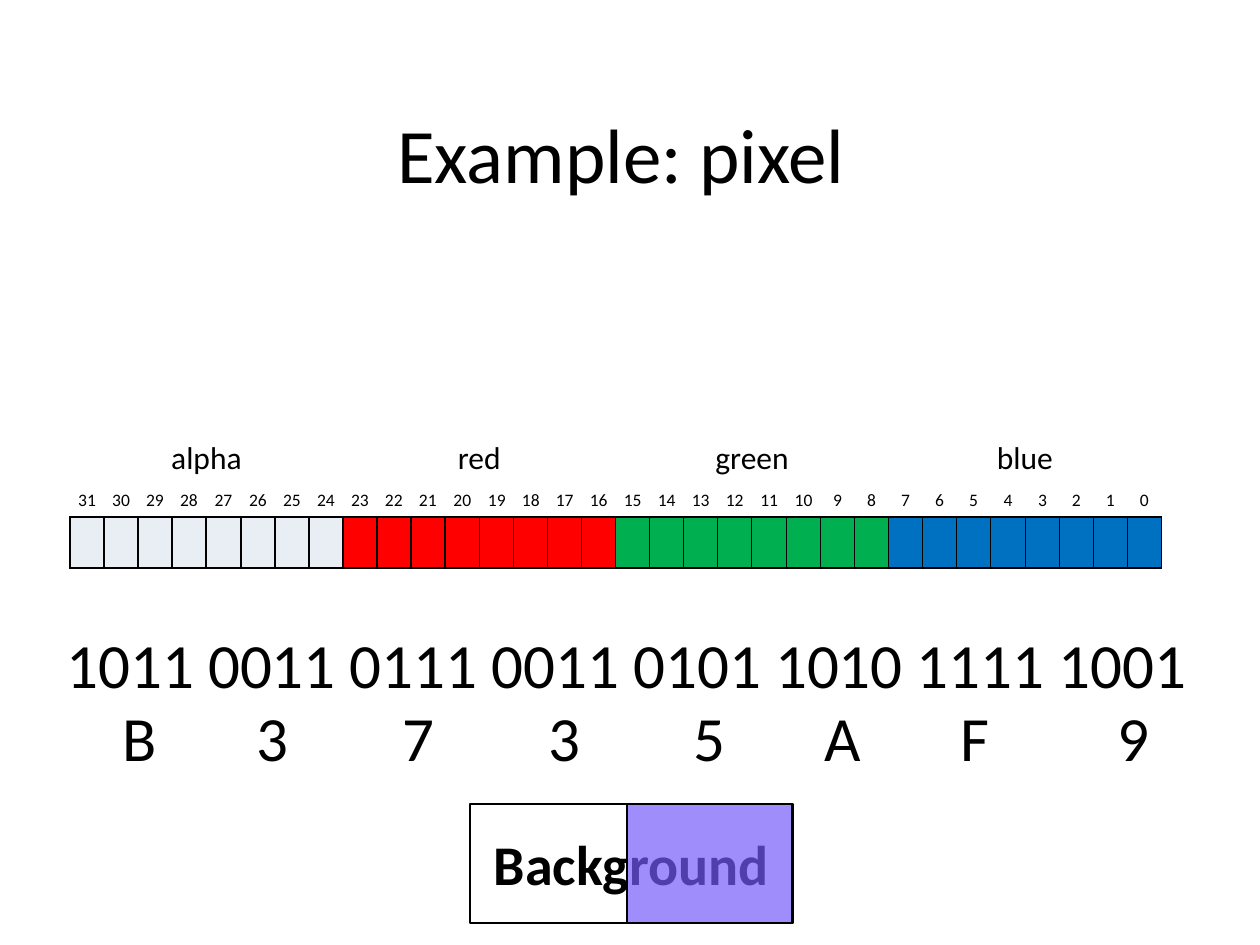
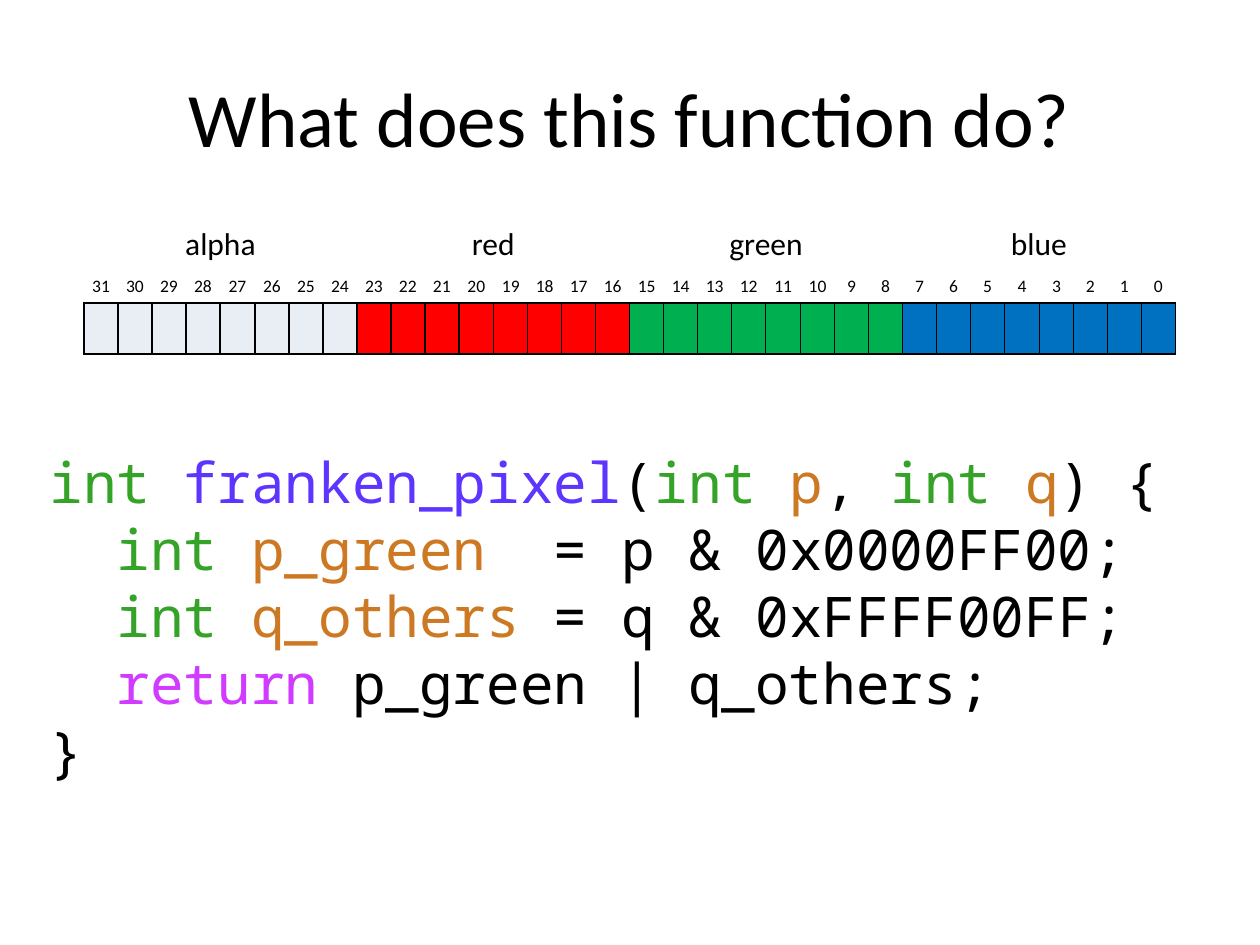
from dataclasses import dataclass
from typing import Optional

import pptx
import pptx.dml.color
import pptx.enum.shapes
import pptx.enum.text
import pptx.oxml
import pptx.oxml.ns
import pptx.util
from lxml import etree

PX_PER_INCH = 126
FONT = "Calibri"
CODE_FONT = "Noto Sans Mono"
COLORS = {
    "black": "000000",
    "white": "FFFFFF",
    "alpha": "E9EDF4",
    "red": "FF0000",
    "green": "00B050",
    "blue": "0070C0",
    "overlay": "735AF9",
    "type": "34A327",
    "function": "5E34FF",
    "variable": "CD7923",
    "keyword": "D03BFF",
}
CHANNELS = ("alpha", "red", "green", "blue")
BITS_PER_CHANNEL = 8
BIT_COUNT = BITS_PER_CHANNEL * len(CHANNELS)
ROW_HEIGHTS = (51, 33, 51)
TABLE_WIDTH = 1092

BINARY = "1011 0011 0111 0011 0101 1010 1111 1001"
HEX_DIGITS = "B3735AF9"
HEX_CENTERS = (73, 206, 352, 498, 643, 776, 909, 1067)

CODE = (
    (("int ", "type"), ("franken_pixel", "function"), ("(", "black"),
     ("int ", "type"), ("p", "variable"), (", ", "black"),
     ("int ", "type"), ("q", "variable"), (") {", "black")),
    (("  ", "black"), ("int ", "type"), ("p_green", "variable"),
     ("  = p & 0x0000FF00;", "black")),
    (("  ", "black"), ("int ", "type"), ("q_others", "variable"),
     (" = q & 0xFFFF00FF;", "black")),
    (("  ", "black"), ("return ", "keyword"), ("p_green | q_others;", "black")),
    (("}", "black"),),
)


@dataclass(frozen=True)
class Box:
    x: int
    y: int
    w: int
    h: int

    def emu(self) -> tuple:
        return tuple(px(v) for v in (self.x, self.y, self.w, self.h))


@dataclass(frozen=True)
class Panel:
    box: Box
    fill: Optional[str] = None
    opacity: int = 100
    text: str = ""


PANELS = (
    Panel(Box(470, 804, 323, 119), text="Background"),
    Panel(Box(627, 804, 165, 119), fill="overlay", opacity=69),
)


def px(value: int) -> pptx.util.Emu:
    return pptx.util.Emu(round(value * 914400 / PX_PER_INCH))


def rgb(name: str) -> pptx.dml.color.RGBColor:
    return pptx.dml.color.RGBColor.from_string(COLORS[name])


def style(font, size: int, color: str = "black", name: str = FONT,
          bold: bool = False) -> None:
    font.name = name
    font.size = pptx.util.Pt(size)
    font.bold = bold
    font.color.rgb = rgb(color)


def style_centered(tf, size: int, bold: bool = False) -> None:
    p = tf.paragraphs[0]
    p.alignment = pptx.enum.text.PP_ALIGN.CENTER
    for r in p.runs:
        style(r.font, size, bold=bold)


def add_titled_slide(prs, title: str, box: Box):
    s = prs.slides.add_slide(prs.slide_layouts[5])
    sp = s.shapes.title
    sp.left, sp.top, sp.width, sp.height = box.emu()
    tf = sp.text_frame
    tf.text = title
    tf.vertical_anchor = pptx.enum.text.MSO_ANCHOR.MIDDLE
    style_centered(tf, 44)
    return s


def add_text_frame(s, box: Box):
    tf = s.shapes.add_textbox(*box.emu()).text_frame
    tf.word_wrap = True
    tf.auto_size = pptx.enum.text.MSO_AUTO_SIZE.SHAPE_TO_FIT_TEXT
    return tf


def add_center_tabs(p, stops: tuple) -> None:
    tabs = etree.SubElement(p._p.get_or_add_pPr(), pptx.oxml.ns.qn("a:tabLst"))
    for stop in stops:
        etree.SubElement(tabs, pptx.oxml.ns.qn("a:tab"), pos=str(px(stop)), algn="ctr")


def add_panel(s, panel: Panel) -> None:
    sp = s.shapes.add_shape(pptx.enum.shapes.MSO_SHAPE.RECTANGLE, *panel.box.emu())
    sp.shadow.inherit = False
    sp.line.color.rgb = rgb("black")
    sp.line.width = pptx.util.Pt(0.75)
    if panel.fill:
        sp.fill.solid()
        sp.fill.fore_color.rgb = rgb(panel.fill)
        color = sp.fill._xPr.find(".//" + pptx.oxml.ns.qn("a:srgbClr"))
        etree.SubElement(color, pptx.oxml.ns.qn("a:alpha"), val=str(panel.opacity * 1000))
    else:
        sp.fill.background()
    if panel.text:
        tf = sp.text_frame
        tf.text = panel.text
        tf.vertical_anchor = pptx.enum.text.MSO_ANCHOR.MIDDLE
        style_centered(tf, 32, bold=True)


def format_cell(cell, borders: dict, fill: Optional[str] = None) -> None:
    """Set 1 pt borders, given as colour by side (L, R, T, B), then the fill."""
    tc_pr = cell._tc.get_or_add_tcPr()
    for side, color in borders.items():
        ln = etree.SubElement(tc_pr, pptx.oxml.ns.qn(f"a:ln{side}"), w="12700")
        solid = etree.SubElement(ln, pptx.oxml.ns.qn("a:solidFill"))
        etree.SubElement(solid, pptx.oxml.ns.qn("a:srgbClr"), val=COLORS[color])
    if fill:
        cell.fill.solid()
        cell.fill.fore_color.rgb = rgb(fill)
    else:
        cell.fill.background()


def add_pixel_table(s, x: int, y: int) -> None:
    """Draw the 32 bits of a pixel under their channel names and bit numbers."""
    box = Box(x, y, TABLE_WIDTH, sum(ROW_HEIGHTS))
    table = s.shapes.add_table(len(ROW_HEIGHTS), BIT_COUNT, *box.emu()).table
    table.first_row = table.horz_banding = False
    for row, height in zip(table.rows, ROW_HEIGHTS):
        row.height = px(height)
    edges = [round(i * TABLE_WIDTH / BIT_COUNT) for i in range(BIT_COUNT + 1)]
    white = dict.fromkeys("LRTB", "white")
    black = dict.fromkeys("LRTB", "black")

    for i, column in enumerate(table.columns):
        column.width = px(edges[i + 1] - edges[i])
        name_cell, number_cell, bit_cell = (table.cell(r, i) for r in range(3))
        format_cell(name_cell, white)
        format_cell(number_cell, white | {"B": "black"})
        format_cell(bit_cell, black, CHANNELS[i // BITS_PER_CHANNEL])
        number_cell.margin_left = number_cell.margin_right = number_cell.margin_top = 0
        number_cell.vertical_anchor = pptx.enum.text.MSO_ANCHOR.BOTTOM
        number_cell.text_frame.text = str(BIT_COUNT - 1 - i)
        style_centered(number_cell.text_frame, 10)

    for i, channel in enumerate(CHANNELS):
        first = i * BITS_PER_CHANNEL
        cell = table.cell(0, first)
        cell.merge(table.cell(0, first + BITS_PER_CHANNEL - 1))
        cell.text_frame.text = channel
        style_centered(cell.text_frame, 18)


def build_pixel_slide(prs) -> None:
    s = add_titled_slide(prs, "Example: pixel ", Box(63, 38, 1134, 229))
    add_panel(s, PANELS[0])
    add_pixel_table(s, 70, 433)

    p = add_text_frame(s, Box(54, 619, 1153, 89)).paragraphs[0]
    p.text = BINARY
    style(p.runs[0].font, 36)

    p = add_text_frame(s, Box(54, 692, 1153, 89)).paragraphs[0]
    add_center_tabs(p, HEX_CENTERS)
    p.text = "".join(f"\t{digit}" for digit in HEX_DIGITS)
    style(p.runs[0].font, 36)

    add_panel(s, PANELS[1])


def build_function_slide(prs) -> None:
    s = add_titled_slide(prs, "What does this function do?", Box(63, 38, 1134, 158))
    tf = add_text_frame(s, Box(37, 441, 1153, 352))
    for i, line in enumerate(CODE):
        p = tf.add_paragraph() if i else tf.paragraphs[0]
        for text, color in line:
            r = p.add_run()
            r.text = text
            style(r.font, 32, color, CODE_FONT)
    add_pixel_table(s, 84, 219)


def main() -> None:
    prs = pptx.Presentation()
    prs.slide_width, prs.slide_height = px(1260), px(945)
    build_pixel_slide(prs)
    build_function_slide(prs)
    prs.save("out.pptx")


if __name__ == "__main__":
    main()
